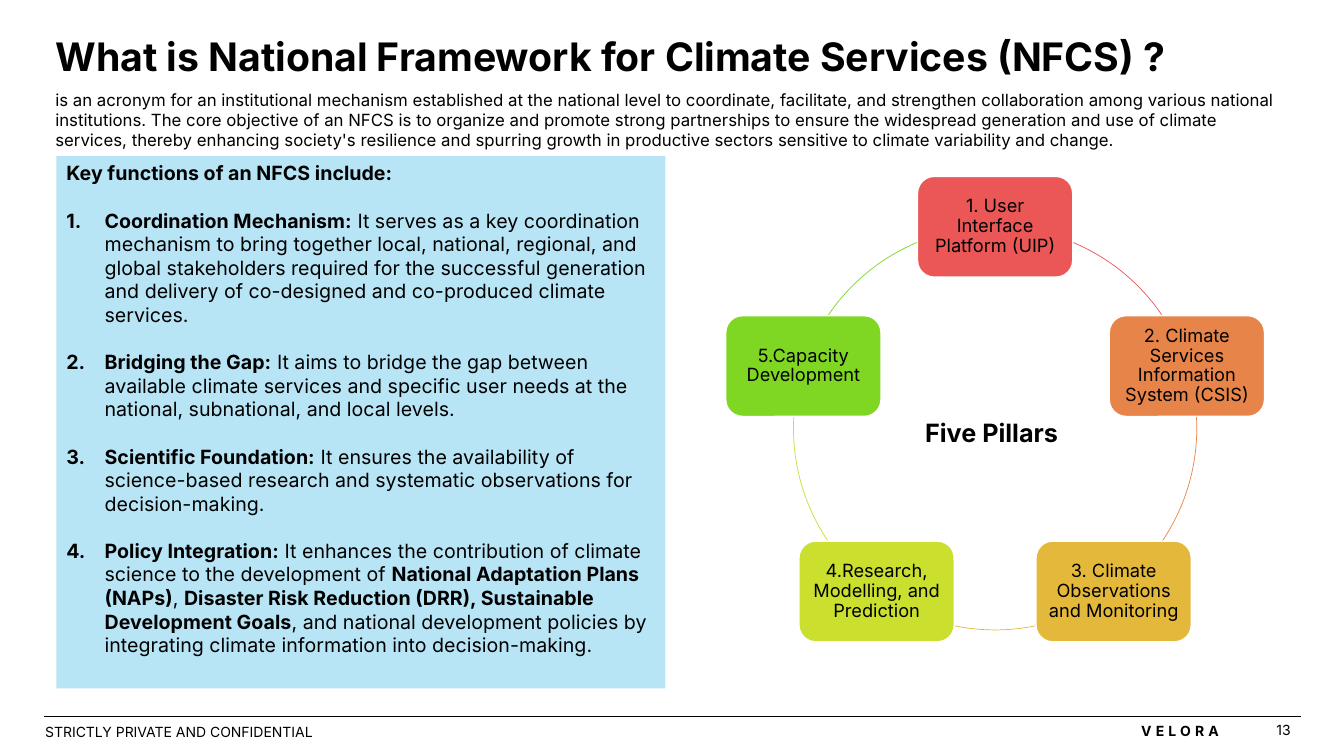
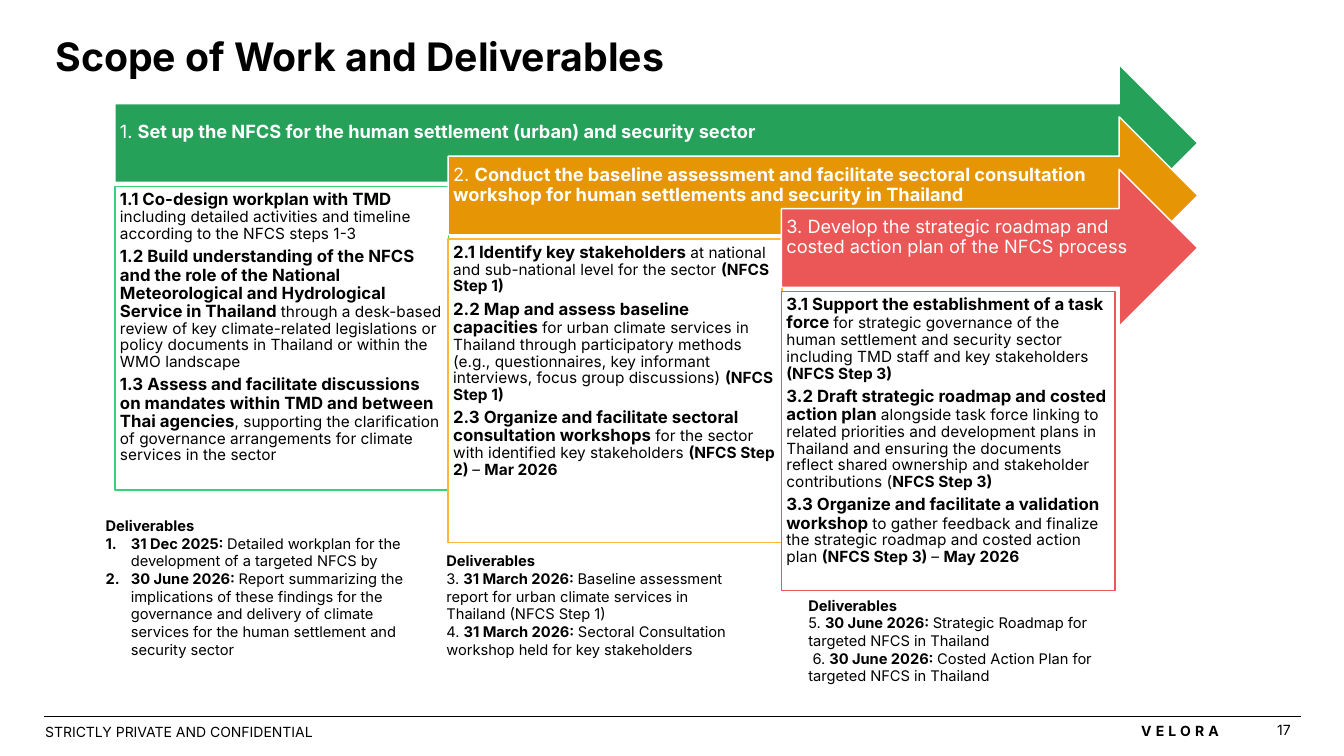
import math

from lxml import etree
from pptx import Presentation
from pptx.dml.color import RGBColor
from pptx.enum import shapes, text
from pptx.oxml import ns
from pptx.util import Inches, Pt

FONT = "Inter"
BLACK = RGBColor(0x00, 0x00, 0x00)
WHITE = RGBColor(0xFF, 0xFF, 0xFF)
SKY = RGBColor(0xB8, 0xE5, 0xF5)
RED = RGBColor(0xEB, 0x57, 0x57)
ORANGE = RGBColor(0xE7, 0x84, 0x49)
GOLD = RGBColor(0xE3, 0xB8, 0x3B)
LIME = RGBColor(0xCA, 0xDF, 0x2E)
LEAF = RGBColor(0x7F, 0xD7, 0x24)
GREEN = RGBColor(0x25, 0xA1, 0x5A)
MINT = RGBColor(0x37, 0xD1, 0x79)
AMBER = RGBColor(0xE6, 0x96, 0x04)
YELLOW = RGBColor(0xFC, 0xB8, 0x3B)

LEFT, CENTER, RIGHT = text.PP_ALIGN.LEFT, text.PP_ALIGN.CENTER, text.PP_ALIGN.RIGHT
TOP, MIDDLE = text.MSO_ANCHOR.TOP, text.MSO_ANCHOR.MIDDLE
SHAPE = shapes.MSO_SHAPE
TIGHT = (0.05, 0.05, 0.05, 0.05)


class Deck:
    def __init__(self):
        self.deck = Presentation()
        self.deck.slide_width = Inches(13.33)
        self.deck.slide_height = Inches(7.5)
        self.page = None

    def add_page(self, title, number):
        self.page = self.deck.slides.add_slide(self.deck.slide_layouts[5])
        box = self.page.shapes.title
        box.left, box.top, box.width, box.height = map(Inches, (0.45, 0.27, 11.83, 0.57))
        self.set_text(box, [f"**{title}**"], 28)
        rule = self.page.shapes.add_connector(
            shapes.MSO_CONNECTOR.STRAIGHT, Inches(0.44), Inches(7.11), Inches(12.9), Inches(7.11))
        rule.line.color.rgb = BLACK
        rule.line.width = Pt(0.5)
        etree.SubElement(rule._element.spPr, ns.qn("a:effectLst"))
        brand = self.label((11.22, 7.12, 1.05, 0.27), ["**VELORA**"], 10)
        span = brand.text_frame.paragraphs[0].runs[0]
        span._r.get_or_add_rPr().set("spc", "300")
        self.label((0.35, 7.13, 2.88, 0.27), ["STRICTLY PRIVATE AND CONFIDENTIAL"], 10)
        self.label((12.28, 7.12, 0.62, 0.24), [str(number)], 10, align=RIGHT, anchor=MIDDLE)

    def set_text(self, box, lines, size, lead_size=None, color=BLACK, align=LEFT, anchor=TOP,
                 margins=(0.1, 0.05, 0.1, 0.05), spacing=None, before=0, after=0, list_indent=0):
        frame = box.text_frame
        frame.word_wrap = True
        frame.auto_size = text.MSO_AUTO_SIZE.NONE
        frame.vertical_anchor = anchor
        (frame.margin_left, frame.margin_top,
         frame.margin_right, frame.margin_bottom) = map(Inches, margins)
        for index, line in enumerate(lines):
            para = frame.add_paragraph() if index else frame.paragraphs[0]
            if index and list_indent:
                self.number(para, list_indent)
            para.alignment = align
            para.line_spacing = spacing
            para.space_before = Pt(before if index else 0)
            para.space_after = Pt(after)
            para.font.name = FONT
            para.font.size = Pt(size)
            para.font.color.rgb = color
            pieces = [(piece, bool(part % 2)) for part, piece in enumerate(line.split("**")) if piece]
            for position, (piece, bold) in enumerate(pieces):
                span = para.add_run()
                span.text = piece
                span.font.bold = bold
                if lead_size and position == 0:
                    span.font.size = Pt(lead_size)

    def number(self, para, indent):
        properties = para._p.get_or_add_pPr()
        properties.set("marL", str(Inches(indent)))
        properties.set("indent", str(-Inches(indent)))
        etree.SubElement(properties, ns.qn("a:buAutoNum"), type="arabicPeriod")

    def label(self, place, lines, size, **style):
        box = self.page.shapes.add_textbox(*map(Inches, place))
        self.set_text(box, lines, size, **style)
        return box

    def block(self, kind, place, fill=None, line=None, width=1):
        box = self.page.shapes.add_shape(kind, *map(Inches, place))
        box.shadow.inherit = False
        if fill is None:
            box.fill.background()
        else:
            box.fill.solid()
            box.fill.fore_color.rgb = fill
        if line is None:
            box.line.fill.background()
        else:
            box.line.color.rgb = line
            box.line.width = Pt(width)
        return box

    def cycle(self, center_x, center_y, radius, pillars):
        step = 360 / len(pillars)
        ring = (center_x - radius, center_y - radius, 2 * radius, 2 * radius)
        for index, (name, color) in enumerate(pillars):
            arc = self.block(SHAPE.ARC, ring, line=color, width=0.5)
            for end in range(2):
                arc.adjustments[end] = ((index + end) * step - 90) % 360 * 0.6
        for index, (name, color) in enumerate(pillars):
            angle = math.radians(index * step)
            x = center_x + radius * math.sin(angle)
            y = center_y - radius * math.cos(angle)
            box = self.block(SHAPE.ROUNDED_RECTANGLE, (x - 0.77, y - 0.5, 1.54, 1), color, WHITE)
            self.set_text(box, [name], 13, align=CENTER, anchor=MIDDLE, margins=TIGHT, spacing=0.9)

    def stage(self, index, heading, fill, line, height, tasks):
        left, top = 1.14 + 3.305 * index, 0.64 + 0.52 * index
        arrow = self.block(SHAPE.RIGHT_ARROW, (left, top, 11.88 - left, 1.56), fill, WHITE)
        self.set_text(arrow, [heading], 13, color=WHITE, anchor=MIDDLE,
                      margins=(0.05, 0.05, 0.28, 0.25), spacing=0.9)
        box = self.block(SHAPE.RECTANGLE, (left, top + 1.21, 3.31, height), WHITE, line)
        self.set_text(box, tasks, 11, lead_size=12, margins=TIGHT, spacing=0.9, after=4)


def framework_page(deck):
    deck.add_page("What is National Framework for Climate Services (NFCS) ?", 13)
    deck.label((0.45, 0.84, 12.32, 0.91), [
        "is an acronym for an institutional mechanism established at the national level to coordinate, "
        "facilitate, and strengthen collaboration among various national institutions. The core objective "
        "of an NFCS is to organize and promote strong partnerships to ensure the widespread generation and "
        "use of climate services, thereby enhancing society's resilience and spurring growth in productive "
        "sectors sensitive to climate variability and change."], 12)
    deck.cycle(9.87, 4.25, 2, [
        ("1. User Interface Platform (UIP)", RED),
        ("2. Climate Services Information System (CSIS)", ORANGE),
        ("3. Climate Observations and Monitoring", GOLD),
        ("4.Research, Modelling, and Prediction", LIME),
        ("5.Capacity Development", LEAF),
    ])
    deck.label((8.41, 4.09, 2.85, 0.4), ["**Five Pillars**"], 18, align=CENTER)
    panel = deck.block(SHAPE.RECTANGLE, (0.56, 1.55, 6.04, 5.28), SKY)
    deck.set_text(panel, [
        "**Key functions of an NFCS include:**",
        "**Coordination Mechanism:** It serves as a key coordination mechanism to bring together local, "
        "national, regional, and global stakeholders required for the successful generation and delivery "
        "of co-designed and co-produced climate services.",
        "**Bridging the Gap:** It aims to bridge the gap between available climate services and specific "
        "user needs at the national, subnational, and local levels.",
        "**Scientific Foundation:** It ensures the availability of science-based research and systematic "
        "observations for decision-making.",
        "**Policy Integration:** It enhances the contribution of climate science to the development of "
        "**National Adaptation Plans (NAPs)**, **Disaster Risk Reduction (DRR), Sustainable Development "
        "Goals**, and national development policies by integrating climate information into "
        "decision-making.",
    ], 14, before=17, list_indent=0.38)


def scope_page(deck):
    deck.add_page("Scope of Work and Deliverables", 17)
    stages = [
        ("1. **Set up the NFCS for the human settlement (urban) and security sector**", GREEN, MINT, 3.01, [
            "**1.1 Co-design workplan with TMD **including detailed activities and timeline according to "
            "the NFCS steps 1-3",
            "**1.2 Build understanding of the NFCS and the role of the National Meteorological and "
            "Hydrological Service in Thailand **through a desk-based review of key climate-related "
            "legislations or policy documents in Thailand or within the WMO landscape",
            "**1.3 Assess and facilitate discussions on mandates within TMD and between Thai agencies**, "
            "supporting the clarification of governance arrangements for climate services in the sector",
        ]),
        ("2. **Conduct the baseline assessment and facilitate sectoral consultation workshop for human "
         "settlements and security in Thailand**", AMBER, YELLOW, 3.01, [
             "**2.1 Identify key stakeholders **at national and sub-national level for the sector "
             "**(NFCS Step 1)**",
             "**2.2 Map and assess baseline capacities **for urban climate services in Thailand through "
             "participatory methods (e.g., questionnaires, key informant interviews, focus group "
             "discussions) **(NFCS Step 1)**",
             "**2.3 Organize and facilitate sectoral consultation workshops **for the sector with "
             "identified key stakeholders **(NFCS Step 2) **– **Mar 2026**",
         ]),
        ("3. Develop the strategic roadmap and costed action plan of the NFCS process", RED, RED, 2.97, [
            "**3.1 Support the establishment of a task force **for strategic governance of the human "
            "settlement and security sector including TMD staff and key stakeholders **(NFCS Step 3)**",
            "**3.2 Draft strategic roadmap and costed action plan **alongside task force linking to "
            "related priorities and development plans in Thailand and ensuring the documents reflect "
            "shared ownership and stakeholder contributions (**NFCS Step 3)**",
            "**3.3 Organize and facilitate a validation workshop **to gather feedback and finalize the "
            "strategic roadmap and costed action plan **(NFCS Step 3) **– **May 2026**",
        ]),
    ]
    for index, stage in enumerate(stages):
        deck.stage(index, *stage)
    deliverables = [
        (0.95, 5.08, 1.51, 0.25, [
            "**31 Dec 2025: **Detailed workplan for the development of a targeted NFCS by",
            "**30 June 2026: **Report summarizing the implications of these findings for the governance "
            "and delivery of climate services for the human settlement and security sector"]),
        (4.33, 5.43, 1.16, 0, [
            "3. **31 March 2026: **Baseline assessment report for urban climate services in Thailand "
            "(NFCS Step 1)",
            "4. **31 March 2026: **Sectoral Consultation workshop held for key stakeholders"]),
        (7.92, 5.87, 0.98, 0, [
            "5. **30 June 2026: **Strategic Roadmap for targeted NFCS in Thailand",
            " 6. **30 June 2026: **Costed Action Plan for targeted NFCS in Thailand"]),
    ]
    for left, top, height, indent, items in deliverables:
        deck.label((left, top, 3.17, height), ["**Deliverables**", *items], 10.5, list_indent=indent)


def main():
    deck = Deck()
    framework_page(deck)
    scope_page(deck)
    deck.deck.save("out.pptx")


if __name__ == "__main__":
    main()
